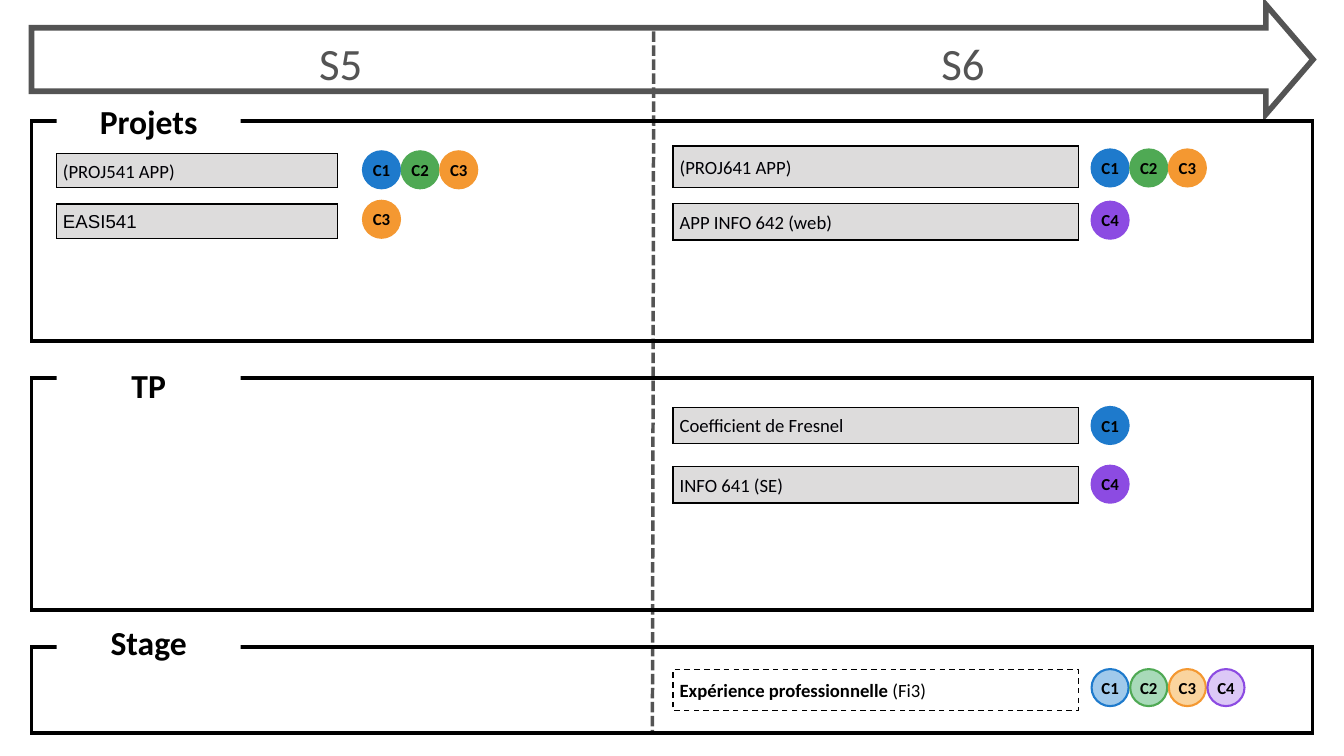
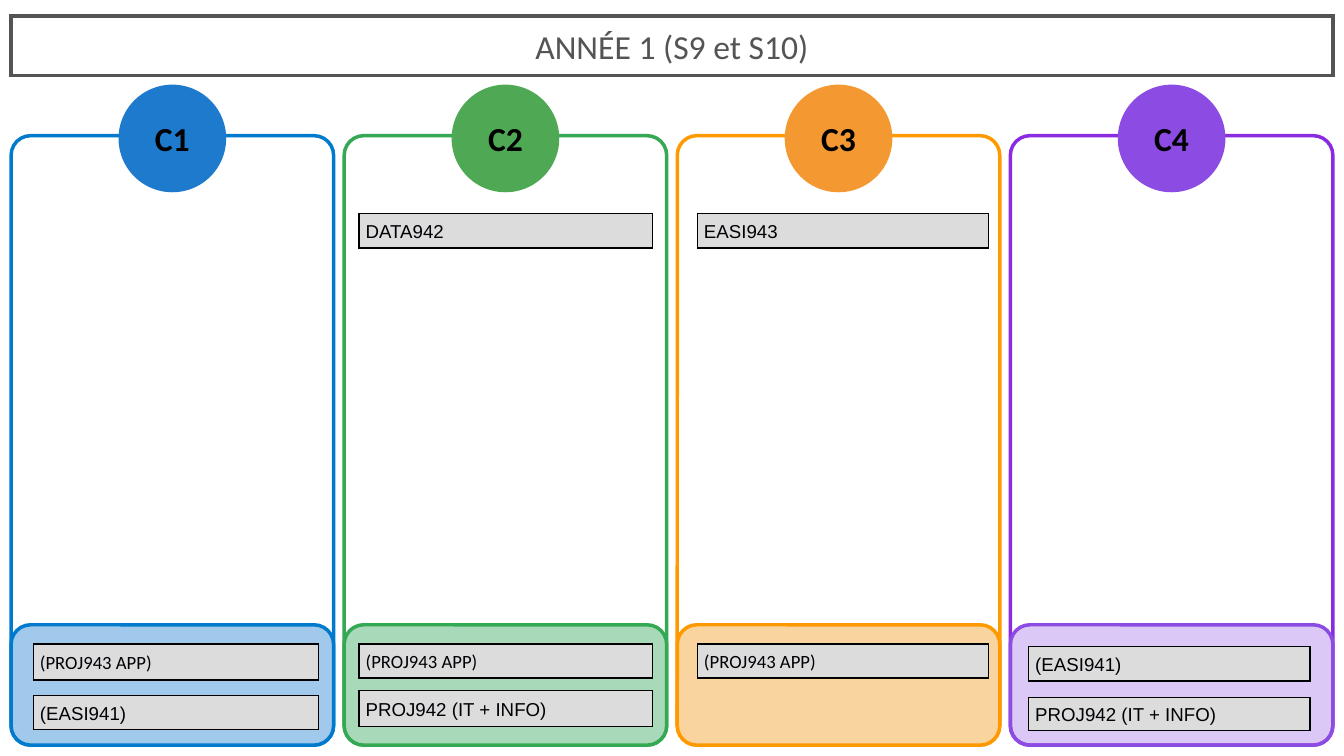
"""Build a two-slide map of projects and practicals by semester and by skill."""
from collections import namedtuple

from lxml import etree
from pptx import Presentation, util as u
from pptx.dml.color import RGBColor
from pptx.enum import dml, shapes, text
from pptx.oxml.ns import qn

BLACK = RGBColor(0x00, 0x00, 0x00)
WHITE = RGBColor(0xFF, 0xFF, 0xFF)
INK = RGBColor(0x00, 0x00, 0x05)
SLATE = RGBColor(0x54, 0x54, 0x54)
BAR_GREY = RGBColor(0xDD, 0xDC, 0xDC)
BLUE = RGBColor(0x1E, 0x7A, 0xCC)
GREEN = RGBColor(0x4F, 0xA9, 0x54)
ORANGE = RGBColor(0xF4, 0x98, 0x31)
PURPLE = RGBColor(0x8C, 0x4B, 0xE2)
BLUE_TINT = RGBColor(0xA0, 0xC9, 0xEB)
GREEN_TINT = RGBColor(0xA8, 0xDA, 0xB9)
ORANGE_TINT = RGBColor(0xFA, 0xD4, 0x9E)
BLUE_EDGE = RGBColor(0x00, 0x7A, 0xCC)
GREEN_EDGE = RGBColor(0x34, 0xA8, 0x53)
ORANGE_EDGE = RGBColor(0xFF, 0x99, 0x00)
PURPLE_EDGE = RGBColor(0x8A, 0x2B, 0xE2)

Box = namedtuple("Box", "x y w h")
Skill = namedtuple("Skill", "fill tint alpha column_edge tray_edge")
SKILLS = {
    "C1": Skill(BLUE, BLUE_TINT, None, BLUE_EDGE, BLUE_EDGE),
    "C2": Skill(GREEN, GREEN_TINT, None, GREEN_EDGE, GREEN_EDGE),
    "C3": Skill(ORANGE, ORANGE_TINT, None, ORANGE_EDGE, ORANGE_EDGE),
    "C4": Skill(PURPLE, PURPLE, 30, PURPLE_EDGE, PURPLE),
}
KINDS = shapes.MSO_SHAPE
ALIGN = text.PP_ALIGN
ANCHOR = text.MSO_ANCHOR
INSETS = ("margin_left", "margin_top", "margin_right", "margin_bottom")
HEADING = {"size": u.Pt(36), "bold": True}
BAR_TEXT = {"size": u.Pt(20)}
BADGE, BADGE_STEP = 1.4, 1.46
RADIUS = 0.74


def apply(target, formats):
    """Set each attribute in a dict of format values."""
    for name, value in formats.items():
        setattr(target, name, value)


def place(box):
    """Turn a box in centimetres into four lengths."""
    return [u.Cm(v) for v in box]


def add_box(s, box, kind=KINDS.RECTANGLE, fill=None, line=None, width=1.5, alpha=None):
    """Add a preset shape with a flat fill and a sharp-cornered outline."""
    sp = s.shapes.add_shape(kind, *place(box))
    sp.shadow.inherit = False
    if fill is None:
        sp.fill.background()
    else:
        sp.fill.solid()
        sp.fill.fore_color.rgb = fill
    if alpha is not None:
        color = sp._element.spPr.find(qn("a:solidFill"))[0]
        etree.SubElement(color, qn("a:alpha")).set("val", str(alpha * 1000))
    if line is None:
        sp.line.fill.background()
    else:
        sp.line.color.rgb = line
        sp.line.width = u.Pt(width)
        outline = sp._element.spPr.find(qn("a:ln"))
        etree.SubElement(outline, qn("a:miter")).set("lim", "800000")
    return sp


def write(sp, runs, align=ALIGN.CENTER, anchor=ANCHOR.MIDDLE, color=BLACK, inset=None):
    """Write (text, font formats) runs as the shape's paragraph."""
    tf = sp.text_frame
    apply(tf, {"word_wrap": True, "vertical_anchor": anchor})
    if inset is not None:
        apply(tf, dict.fromkeys(INSETS, u.Cm(inset)))
    p = tf.paragraphs[0]
    p.alignment = align
    for words, formats in runs:
        r = p.add_run()
        r.text = words
        apply(r.font, {"name": "Calibri", **formats})
        r.font.color.rgb = color
    return p


def add_disc(s, box, skill, size, tinted=False):
    """Add a round skill badge."""
    look = SKILLS[skill]
    fill, alpha = (look.tint, look.alpha) if tinted else (look.fill, None)
    sp = add_box(s, box, KINDS.OVAL, fill, look.fill, 2.25, alpha)
    write(sp, [(skill, {"size": u.Pt(size), "bold": True})], inset=0)


def add_bar(s, box, words, font="Calibri"):
    """Add a grey course bar."""
    sp = add_box(s, box, fill=BAR_GREY, line=BLACK)
    write(sp, [(words, {**BAR_TEXT, "name": font})], ALIGN.LEFT, color=INK)


def add_rounded(s, box, **look):
    """Add a rounded panel whose corner radius is fixed."""
    sp = add_box(s, box, KINDS.ROUNDED_RECTANGLE, width=3.75, **look)
    sp.adjustments[0] = RADIUS / min(box.w, box.h)


def add_badges(s, bar, x, skills, shift=0, tinted=False):
    """Line up skill badges, shifted from the middle of a bar."""
    y = bar.y + (bar.h - BADGE) / 2 + shift
    for i, skill in enumerate(skills):
        add_disc(s, Box(x + i * BADGE_STEP, y, BADGE, BADGE), skill, 18, tinted)


def add_timeline(s, box):
    """Draw the semester arrow, its two titles and the dashed divider."""
    arrow = add_box(s, box, KINDS.RIGHT_ARROW, line=SLATE, width=6)
    arrow.adjustments[0], arrow.adjustments[1] = 0.58, 0.43
    ends = (box.x + 23.52, box.y + 1.01, box.x + 23.47, box.y + 27.53)
    divider = s.shapes.add_connector(shapes.MSO_CONNECTOR.STRAIGHT, *place(ends))
    apply(divider.line, {"width": u.Pt(3.75), "dash_style": dml.MSO_LINE.SQUARE_DOT})
    divider.line.color.rgb = SLATE
    etree.SubElement(divider._element.spPr, qn("a:effectLst"))
    for title, dx, w in (("S5", 0.08, 23.22), ("S6", 23.74, 22.94)):
        sp = s.shapes.add_textbox(*place((box.x + dx, box.y + 0.99, w, 2.11)))
        p = write(sp, [(title, {"size": u.Pt(48)})], anchor=ANCHOR.TOP, color=SLATE, inset=0)
        p.line_spacing = u.Pt(62.4)


def add_section(s, box, title, rise, anchor):
    """Draw a framed section with its title set into the top edge."""
    add_box(s, box, line=BLACK, width=3.75)
    label = add_box(s, Box(box.x + 0.95, box.y - rise, 6.96, 1.55), fill=WHITE)
    write(label, [(title, HEADING)], anchor=anchor)


def add_courses(s, box, dx, w, badge_dx, courses):
    """Place one semester's course bars and badges in a section."""
    for words, font, dy, h, skills, shift in courses:
        bar = Box(box.x + dx, box.y + dy, w, h)
        add_bar(s, bar, words, font)
        add_badges(s, bar, box.x + badge_dx, skills, shift)


def add_internship(s, bar, badge_x):
    """Draw the dashed internship bar with its tinted badges."""
    sp = add_box(s, bar, line=BLACK)
    sp.line.dash_style = dml.MSO_LINE.DASH
    write(sp, [("Expérience professionnelle ", {**BAR_TEXT, "bold": True}),
               ("(Fi3)", BAR_TEXT)], ALIGN.LEFT)
    add_badges(s, bar, badge_x, SKILLS, -0.1, tinted=True)


def semester_slide(s):
    """Lay out the timeline and the three sections."""
    add_timeline(s, Box(1.19, 0.18, 48.44, 4.14))
    projects = Box(1.19, 4.58, 48.42, 8.31)
    labs = Box(1.19, 14.29, 48.42, 8.77)
    internship = Box(1.19, 24.46, 48.42, 3.25)
    add_section(s, projects, "Projets", 0.78, ANCHOR.MIDDLE)
    add_section(s, labs, "TP", 0.62, ANCHOR.TOP)
    add_section(s, internship, "Stage", 1.07, ANCHOR.TOP)
    s5, s6 = (0.94, 10.62, 12.53), (24.25, 15.33, 40.07)
    add_courses(s, projects, *s5, [
        ("(PROJ541 APP)", "Calibri", 1.22, 1.3, ["C1", "C2", "C3"], -0.03),
        ("EASI541", "Arial", 3.14, 1.3, ["C3"], -0.08)])
    add_courses(s, projects, *s6, [
        ("(PROJ641 APP)", "Calibri", 0.94, 1.56, ["C1", "C2", "C3"], 0.05),
        ("APP INFO 642 (web)", "Calibri", 3.12, 1.37, ["C4"], -0.06)])
    add_courses(s, labs, *s6, [
        ("Coefficient de Fresnel", "Calibri", 1.11, 1.37, ["C1"], 0),
        ("INFO 641 (SE)", "Calibri", 3.35, 1.37, ["C4"], -0.02)])
    dx, w, badge_dx = s6
    bar = Box(internship.x + dx, internship.y + 0.86, w, 1.55)
    add_internship(s, bar, internship.x + badge_dx)


def add_column(s, box, skill, dx, w, courses):
    """Draw a skill column with its disc, bottom tray and course bars."""
    look = SKILLS[skill]
    add_rounded(s, box, line=look.column_edge)
    size = 3.99
    add_disc(s, Box(box.x + (box.w - size) / 2, box.y - 1.89, size, size), skill, 36)
    tray = 4.55
    add_rounded(s, Box(box.x, box.y + box.h - tray, box.w, tray),
                fill=look.tint, alpha=look.alpha, line=look.tray_edge)
    for words, font, dy, h in courses:
        add_bar(s, Box(box.x + dx, box.y + dy, w, h), words, font)


def skill_slide(s):
    """Lay out the year banner and the four skill columns."""
    banner = add_box(s, Box(0.42, 0.6, 49.96, 2.25), line=SLATE, width=3.75)
    write(banner, [("ANNÉE 1 (S9 et S10)", {"size": u.Pt(36)})], color=SLATE)
    columns = {
        "C1": (0.84, 10.77, [("(PROJ943 APP)", "Calibri", 19.22, 1.36),
                             ("(EASI941)", "Arial", 21.16, 1.3)]),
        "C2": (0.56, 11.1, [("DATA942", "Arial", 2.95, 1.3),
                            ("(PROJ943 APP)", "Calibri", 19.21, 1.3),
                            ("PROJ942 (IT + INFO)", "Arial", 20.98, 1.36)]),
        "C3": (0.76, 11, [("EASI943", "Arial", 2.95, 1.3),
                          ("(PROJ943 APP)", "Calibri", 19.21, 1.3)]),
        "C4": (0.69, 10.64, [("(EASI941)", "Arial", 19.31, 1.3),
                             ("PROJ942 (IT + INFO)", "Arial", 21.23, 1.25)]),
    }
    for i, (skill, parts) in enumerate(columns.items()):
        add_column(s, Box(0.42 + i * 12.59, 5.13, 12.19, 23.04), skill, *parts)


def main():
    """Build both slides and save the file."""
    prs = Presentation()
    apply(prs, {"slide_width": u.Cm(50.8), "slide_height": u.Cm(28.58)})
    for build in (semester_slide, skill_slide):
        build(prs.slides.add_slide(prs.slide_layouts[6]))
    prs.save("out.pptx")


if __name__ == "__main__":
    main()
